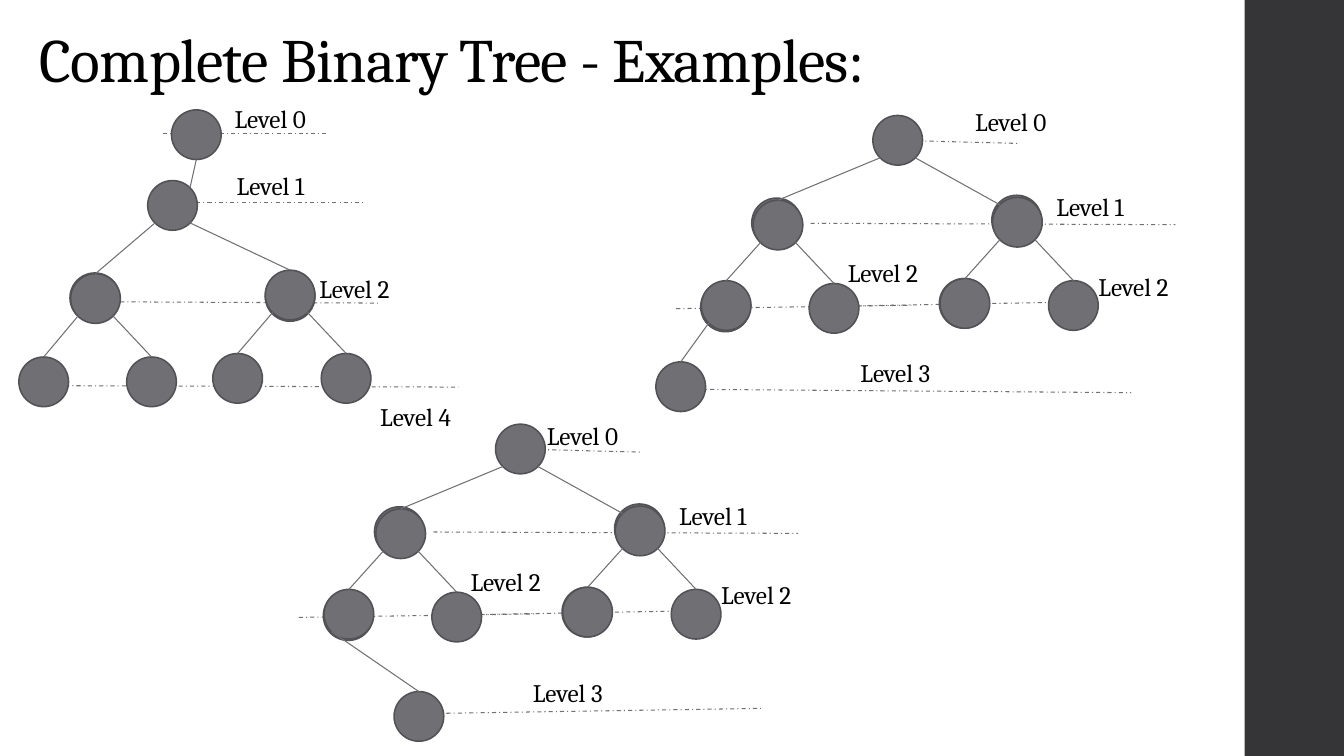
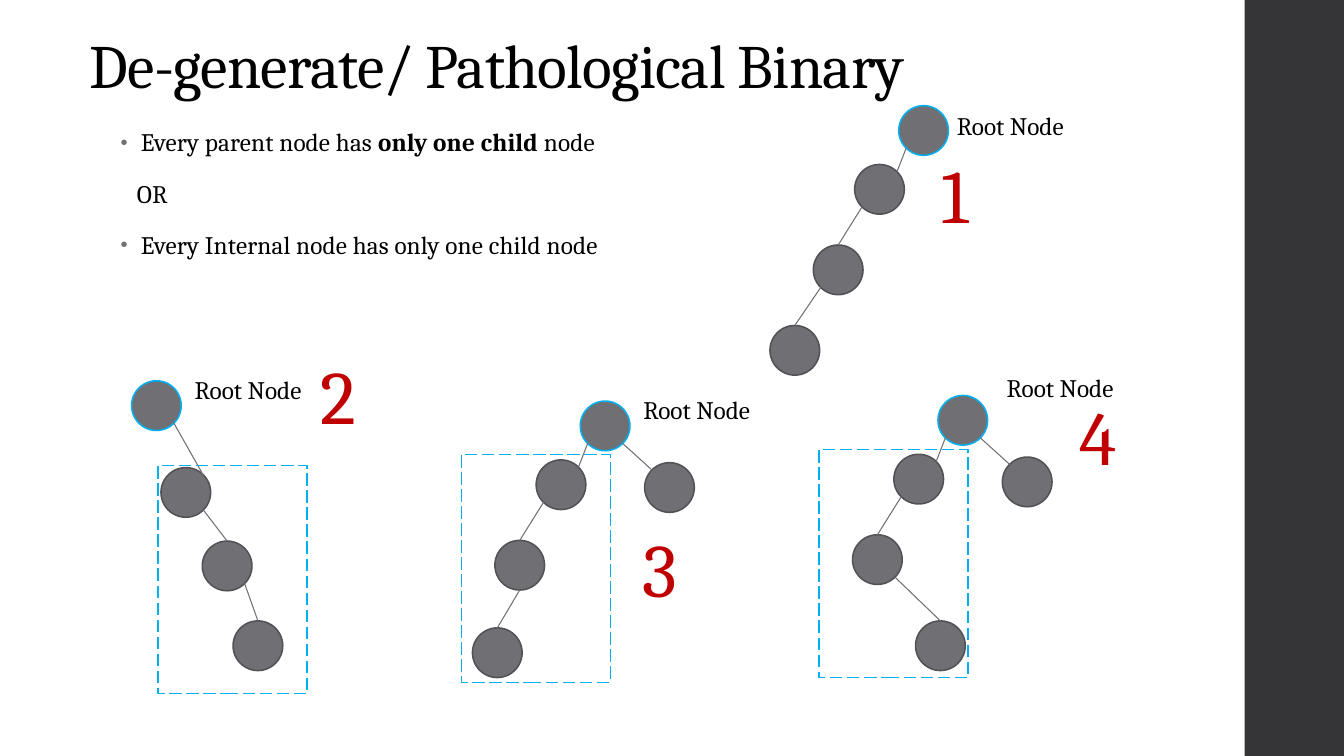
from pptx import Presentation
from pptx.dml.color import RGBColor
from pptx.enum.dml import MSO_LINE
from pptx.enum.shapes import MSO_CONNECTOR, MSO_SHAPE
from pptx.enum.text import MSO_ANCHOR, MSO_AUTO_SIZE, PP_ALIGN
from pptx.oxml import parse_xml
from pptx.oxml.ns import nsdecls, qn
from pptx.util import Pt
from lxml.etree import SubElement

FONT = "Cambria"
BLACK, BAND, NODE, NODE_EDGE, ROOT_EDGE, NUMBER = (
    "000000", "353537", "6F6F74", "525256", "00B0F0", "C00000")
NODE_SIZE = 35.5
SITES = {"n": (0.5, 0), "s": (0.5, 1), "nw": (0.15, 0.15), "ne": (0.85, 0.15),
         "sw": (0.15, 0.85), "se": (0.85, 0.85)}
color = RGBColor.from_string


def draw_line(page, start, end, dash=None):
    line = page.shapes.add_connector(
        MSO_CONNECTOR.STRAIGHT, *[Pt(value) for value in (*start, *end)])
    line.line.color.rgb = color(NODE)
    line.line.width = Pt(0.75)
    if dash:
        line.line.dash_style = dash
    SubElement(line.element.spPr, qn("a:effectLst"))


def write(page, text, left, top, width, size=18, hue=BLACK, align=PP_ALIGN.LEFT):
    box = page.shapes.add_textbox(Pt(left), Pt(top), Pt(width), Pt(size * 1.2 + 7.2))
    box.text_frame.word_wrap = True
    para = box.text_frame.paragraphs[0]
    para.text = text
    para.alignment = align
    para.font.name = FONT
    para.font.size = Pt(size)
    para.font.color.rgb = color(hue)


deck = Presentation()
deck.slide_width, deck.slide_height = Pt(960), Pt(540)
master = deck.slide_master

for style, size, spacing, line_spacing in [("p:titleStyle", 44, -50, 90000),
                                           ("p:bodyStyle", 18, 10, 95000)]:
    level = master.element.find(f".//{qn(style)}/{qn('a:lvl1pPr')}")
    level.set("algn", "l")
    level.insert(0, parse_xml(
        f'<a:lnSpc {nsdecls("a")}><a:spcPct val="{line_spacing}"/></a:lnSpc>'))
    letters = level.find(qn("a:defRPr"))
    letters.set("sz", str(size * 100))
    letters.set("spc", str(spacing))
    letters.find(qn("a:latin")).set("typeface", FONT)

examples = deck.slides.add_slide(deck.slide_layouts.get_by_name("Title Only"))
degenerate = deck.slides.add_slide(deck.slide_layouts.get_by_name("Title and Content"))

band = examples.shapes.add_shape(MSO_SHAPE.RECTANGLE, Pt(889), Pt(0), Pt(71), Pt(540))
band.shadow.inherit = False
band.fill.solid()
band.fill.fore_color.rgb = color(BAND)
band.line.fill.background()
master.shapes.element.insert(2, band.element)

for page, text, left, top in [(examples, "Complete Binary Tree - Examples:", 21, 10),
                              (degenerate, "De-generate/ Pathological Binary", 57, 14.4)]:
    title = page.shapes.title
    title.left, title.top, title.width, title.height = Pt(left), Pt(top), Pt(763), Pt(62)
    title.text_frame.text = text
    title.text_frame.vertical_anchor = MSO_ANCHOR.BOTTOM
    title.text_frame.auto_size = MSO_AUTO_SIZE.NONE

body = degenerate.placeholders[1]
body.left, body.top, body.width, body.height = Pt(79), Pt(88.5), Pt(677), Pt(376.5)
frame = body.text_frame
frame.auto_size = MSO_AUTO_SIZE.NONE
statements = [
    (True, [("Every parent node has ", False), ("only one child ", True), ("node", False)]),
    (False, [("OR", False)]),
    (True, [("Every Internal node has only one child node", False)]),
]
for index, (bulleted, spans) in enumerate(statements):
    para = frame.add_paragraph() if index else frame.paragraphs[0]
    para.space_before = Pt(14 if index else 0)
    para.space_after = Pt(2)
    properties = para._p.get_or_add_pPr()
    properties.set("marL", str(Pt(14.4 if bulleted else 11.5)))
    properties.set("indent", str(Pt(-14.4 if bulleted else 0)))
    if bulleted:
        bullet_color = SubElement(properties, qn("a:buClr"))
        SubElement(bullet_color, qn("a:srgbClr"), val=NODE)
        SubElement(properties, qn("a:buSzPct"), val="80000")
        SubElement(properties, qn("a:buChar"), char="•")
    else:
        SubElement(properties, qn("a:buNone"))
    for text, bold in spans:
        span = para.add_run()
        span.text = text
        span.font.bold = bold
    para.font.color.rgb = color(BLACK)

# Node: offset from root, parent index, parent site, own site
tall_nodes = [
    (0, 0, None, "", ""),
    (-17, 50.5, 0, "s", "ne"),
    (-72, 117, 1, "sw", "n"), (67, 114.5, 1, "se", "n"),
    (-109, 176.5, 2, "sw", "n"), (-32, 176.5, 2, "se", "n"),
    (29.5, 174, 3, "sw", "n"), (107, 174, 3, "se", "n"),
]
tall_rims = [(-72.5, 116.5), (67, 115.5)]
tall_levels = [(-6, 17, 111, 17), (9.5, 66, 137, 66),
               (-61, 137, 147.5, 138), (-76, 197, 205, 198)]
tall_labels = [("Level 0", 38, -8), ("Level 1", 39.5, 39.5),
               ("Level 2", 98.5, 113.5), ("Level 4", 142, 204.5)]

wide_nodes = [
    (0, 0, None, "", ""),
    (-85.5, 60.5, 0, "sw", "n"), (85.5, 58.5, 0, "se", "nw"),
    (-122.5, 118, 1, "sw", "n"), (-45.5, 120, 1, "se", "n"),
    (48, 116.5, 2, "sw", "n"), (125.5, 118, 2, "se", "n"),
]
wide_rims = [(-86.5, 59), (85, 57), (-123, 119), (47.5, 116.5)]
wide_levels = [(8, 17.5, 105, 20), (-44.5, 77, 216, 78),
               (-140.5, 138, 29.5, 135.5), (-12, 136, 157.5, 133)]
wide_labels = [("Level 1", 124, 50.5), ("Level 2", -25, 98), ("Level 2", 154, 107.5)]

chain_start = [(0, 0, None, "", ""), (-31.5, 42, 0, "sw", "ne"), (-61, 99.5, 1, "sw", "n")]
side_child = (46, 44, 0, "se", "nw")
right_chain = [(0, 0, None, "", ""), (21, 62, 0, "se", "ne"),
               (50.5, 114.5, 1, "se", "n"), (72.5, 171.5, 2, "se", "n")]

trees = [
    (examples, (122.5, 78.5), tall_nodes, tall_rims, tall_levels, tall_labels),
    (examples, (623.5, 82.5), wide_nodes + [(-155, 176, 3, "sw", "n")], wide_rims,
     wide_levels + [(-140.5, 195.5, 184.5, 198)],
     wide_labels + [("Level 0", 66, -10), ("Level 3", -16, 169.5)]),
    (examples, (354, 303), wide_nodes + [(-72.5, 191, 3, "sw", "n")], wide_rims,
     wide_levels + [(-67.5, 207, 189.5, 203)],
     wide_labels + [("Level 0", 29.5, -6), ("Level 3", 19.5, 177)]),
    (degenerate, (642, 75.5), chain_start + [(-92, 157, 2, "sw", "n")], [], [],
     [("Root Node", 34.5, -0.5)]),
    (degenerate, (94, 272), right_chain, [], [], [("Root Node", 38, -8.5)]),
    (degenerate, (414.5, 286.5), chain_start + [(-77, 162, 2, "s", "n"), side_child],
     [], [], [("Root Node", 38, -8.5)]),
    (degenerate, (670, 282.5), chain_start + [(-16, 161, 2, "se", "n"), side_child],
     [], [], [("Root Node", 42, -20)]),
]
for page, (root_x, root_y), nodes, rims, levels, labels in trees:
    for x1, y1, x2, y2 in levels:
        draw_line(page, (root_x + x1, root_y + y1), (root_x + x2, root_y + y2),
                  MSO_LINE.DASH_DOT)
    for x, y in rims + [node[:2] for node in nodes]:
        circle = page.shapes.add_shape(MSO_SHAPE.OVAL, Pt(root_x + x), Pt(root_y + y),
                                       Pt(NODE_SIZE), Pt(NODE_SIZE))
        circle.shadow.inherit = False
        circle.fill.solid()
        circle.fill.fore_color.rgb = color(NODE)
        is_marked_root = page is degenerate and (x, y) == (0, 0)
        circle.line.color.rgb = color(ROOT_EDGE if is_marked_root else NODE_EDGE)
        circle.line.width = Pt(1.1)
    for x, y, parent, parent_site, own_site in nodes[1:]:
        ends = [(root_x + left + SITES[site][0] * NODE_SIZE,
                 root_y + top + SITES[site][1] * NODE_SIZE)
                for left, top, site in [(*nodes[parent][:2], parent_site), (x, y, own_site)]]
        draw_line(page, *ends)
    for text, x, y in labels:
        write(page, text, root_x + x, root_y + y, 106)

for left, top in [(113, 332.5), (329.5, 324.5), (585, 321)]:
    subtree = degenerate.shapes.add_shape(MSO_SHAPE.RECTANGLE, Pt(left), Pt(top),
                                          Pt(106.5), Pt(163))
    subtree.shadow.inherit = False
    subtree.fill.background()
    subtree.line.color.rgb = color(ROOT_EDGE)
    subtree.line.width = Pt(1.1)
    subtree.line.dash_style = MSO_LINE.LONG_DASH

for number, (left, top) in enumerate([(660, 102), (219.5, 246), (449, 369.5), (762, 275)], 1):
    write(degenerate, str(number), left, top, 45, 54, NUMBER, PP_ALIGN.CENTER)

deck.save("out.pptx")
